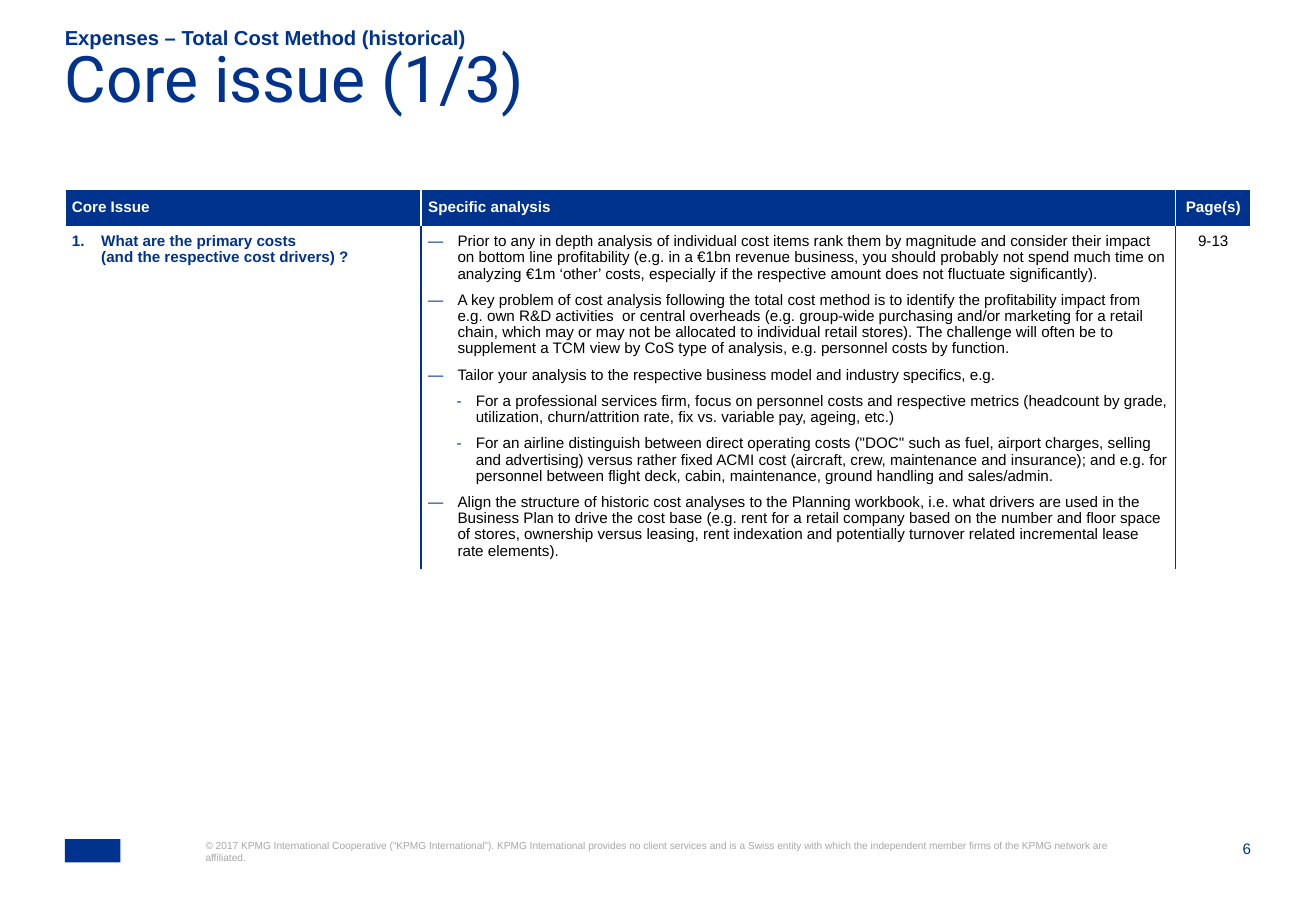
from lxml.etree import SubElement
from pptx import Presentation
from pptx.dml.color import RGBColor
from pptx.enum.shapes import MSO_SHAPE
from pptx.enum.text import MSO_ANCHOR, MSO_AUTO_SIZE, PP_ALIGN
from pptx.oxml.ns import qn
from pptx.util import Pt

PX = 7620  # EMU per px, 120 px to the inch
BLUE = RGBColor(0x00, 0x33, 0x8D)
WHITE = RGBColor(0xFF, 0xFF, 0xFF)
BLACK = RGBColor(0x00, 0x00, 0x00)
GREY = RGBColor(0xA6, 0xA6, 0xA6)

LEFT = 64
COLUMNS = [352, 745, 75]
ROWS = [37, 337]
CELL_MARGIN = 7
HEADINGS = ["Core Issue", "Specific analysis", "Page(s)"]
ISSUE = "What are the primary costs\v(and the respective cost drivers) ?"
PAGES = "9-13"
# Indent level and text of each point
ANALYSIS = [
    (0, "Prior to any in depth analysis of individual cost items rank them by magnitude and consider "
        "their impact on bottom line profitability (e.g. in a €1bn revenue business, you should probably "
        "not spend much time on analyzing €1m ‘other’ costs, especially if the respective amount does "
        "not fluctuate significantly)."),
    (0, "A key problem of cost analysis following the total cost method is to identify the profitability "
        "impact from e.g. own R&D activities  or central overheads (e.g. group-wide purchasing and/or "
        "marketing for a retail chain, which may or may not be allocated to individual retail stores). "
        "The challenge will often be to supplement a TCM view by CoS type of analysis, e.g. personnel "
        "costs by function."),
    (0, "Tailor your analysis to the respective business model and industry specifics, e.g."),
    (1, "For a professional services firm, focus on personnel costs and respective metrics (headcount by "
        "grade, utilization, churn/attrition rate, fix vs. variable pay, ageing, etc.)"),
    (1, "For an airline distinguish between direct operating costs (\"DOC\" such as fuel, airport charges, "
        "selling and advertising) versus rather fixed ACMI cost (aircraft, crew, maintenance and "
        "insurance); and e.g. for personnel between flight deck, cabin, maintenance, ground handling "
        "and sales/admin."),
    (0, "Align the structure of historic cost analyses to the Planning workbook, i.e. what drivers are "
        "used in the Business Plan to drive the cost base (e.g. rent for a retail company based on the "
        "number and floor space of stores, ownership versus leasing, rent indexation and potentially "
        "turnover related incremental lease rate elements)."),
]
# Bullet, left margin and hanging indent in px, by level
BULLETS = [("—", 29, 29), ("-", 47, 19)]
COPYRIGHT = ("© 2017 KPMG International Cooperative (“KPMG International”). KPMG International provides no "
             "client services and is a Swiss entity with which the independent member firms of the KPMG "
             "network are affiliated.")


def px(*lengths):
    return [length * PX for length in lengths]


def format_paragraph(paragraph, size, color, bold=False, align=PP_ALIGN.LEFT, name="Arial"):
    paragraph.alignment = align
    paragraph.font.name = name
    paragraph.font.size = Pt(size)
    paragraph.font.bold = bold
    paragraph.font.color.rgb = color


def fill_frame(frame, text, size, color, anchor=MSO_ANCHOR.TOP, **style):
    frame.margin_left = frame.margin_right = frame.margin_top = frame.margin_bottom = 0
    frame.word_wrap = True
    frame.auto_size = MSO_AUTO_SIZE.NONE
    frame.vertical_anchor = anchor
    frame.text = text
    format_paragraph(frame.paragraphs[0], size, color, **style)


def add_text(slide, box, text, size, color, **style):
    fill_frame(slide.shapes.add_textbox(*px(*box)).text_frame, text, size, color, **style)


def add_title(slide, box, text):
    title = slide.shapes.title
    title.left, title.top, title.width, title.height = px(*box)
    fill_frame(title.text_frame, text, 38, BLUE, name="Roboto")
    title.text_frame.paragraphs[0].line_spacing = 0.7


def hang(paragraph, margin, indent):
    properties = paragraph._p.get_or_add_pPr()
    properties.set("marL", str(margin * PX))
    properties.set("indent", str(-indent * PX))
    return properties


def add_bullet(paragraph, level):
    character, margin, indent = BULLETS[level]
    paragraph.level = level
    properties = hang(paragraph, margin, indent)
    color = SubElement(properties, qn("a:buClr"))
    SubElement(color, qn("a:srgbClr"), val=str(BLUE))
    SubElement(properties, qn("a:buFont"), typeface="Arial")
    SubElement(properties, qn("a:buChar"), char=character)


def add_number(paragraph):
    SubElement(hang(paragraph, 29, 29), qn("a:buAutoNum"), type="arabicPeriod")


def set_borders(cell, left, right):
    properties = cell._tc.get_or_add_tcPr()
    for side, color in (("L", left), ("R", right), ("T", WHITE), ("B", WHITE)):
        line = SubElement(properties, qn(f"a:ln{side}"), w=str(Pt(1)))
        SubElement(SubElement(line, qn("a:solidFill")), qn("a:srgbClr"), val=str(color))


def prepare_cell(cell, fill, left=WHITE, right=WHITE):
    set_borders(cell, left, right)
    cell.fill.solid()
    cell.fill.fore_color.rgb = fill
    cell.margin_left = cell.margin_right = cell.margin_top = cell.margin_bottom = CELL_MARGIN * PX


def write_cell(cell, text, color, bold=False, align=PP_ALIGN.LEFT, numbered=False):
    cell.text = text
    paragraph = cell.text_frame.paragraphs[0]
    paragraph.line_spacing = 0.95
    if numbered:
        add_number(paragraph)
    format_paragraph(paragraph, 9, color, bold, align)


def write_points(cell, points):
    frame = cell.text_frame
    for index, (level, text) in enumerate(points):
        paragraph = frame.add_paragraph() if index else frame.paragraphs[0]
        paragraph.text = text
        paragraph.line_spacing = 0.95
        paragraph.space_after = Pt(6)
        add_bullet(paragraph, level)
        format_paragraph(paragraph, 9, BLACK)


def add_issue_table(slide):
    box = px(LEFT, 187, sum(COLUMNS), sum(ROWS))
    table = slide.shapes.add_table(len(ROWS), len(COLUMNS), *box).table
    table.first_row = table.horz_banding = False
    for column, width in zip(table.columns, COLUMNS):
        column.width = width * PX
    for row, height in zip(table.rows, ROWS):
        row.height = height * PX

    # Header row
    alignments = [PP_ALIGN.LEFT, PP_ALIGN.LEFT, PP_ALIGN.CENTER]
    for cell, heading, align in zip(table.rows[0].cells, HEADINGS, alignments):
        prepare_cell(cell, BLUE)
        cell.vertical_anchor = MSO_ANCHOR.MIDDLE
        write_cell(cell, heading, WHITE, bold=True, align=align)

    # Issue row
    issue, analysis, pages = table.rows[1].cells
    prepare_cell(issue, WHITE, right=BLUE)
    prepare_cell(analysis, WHITE, left=BLUE, right=BLUE)
    prepare_cell(pages, WHITE, left=BLUE)
    write_cell(issue, ISSUE, BLUE, bold=True, numbered=True)
    write_points(analysis, ANALYSIS)
    write_cell(pages, PAGES, BLACK, align=PP_ALIGN.CENTER)


def add_footer(slide):
    mark = slide.shapes.add_shape(MSO_SHAPE.RECTANGLE, *px(LEFT, 829, 55, 23))
    mark.shadow.inherit = False
    mark.fill.solid()
    mark.fill.fore_color.rgb = BLUE
    mark.line.fill.background()
    add_text(slide, (203, 829, 899, 49), COPYRIGHT, 6, GREY)
    add_text(slide, (1184, 829, 52, 19), "6", 9, BLUE, align=PP_ALIGN.RIGHT)


def main():
    presentation = Presentation()
    presentation.slide_width, presentation.slide_height = px(1300, 900)
    slide = presentation.slides.add_slide(presentation.slide_layouts[5])
    add_footer(slide)
    add_text(slide, (LEFT, 26, 1128, 23), "Expenses – Total Cost Method (historical)", 12, BLUE,
             anchor=MSO_ANCHOR.BOTTOM, bold=True)
    add_title(slide, (LEFT, 59, 1171, 95), "Core issue (1/3)")
    add_issue_table(slide)
    presentation.save("out.pptx")


if __name__ == "__main__":
    main()
